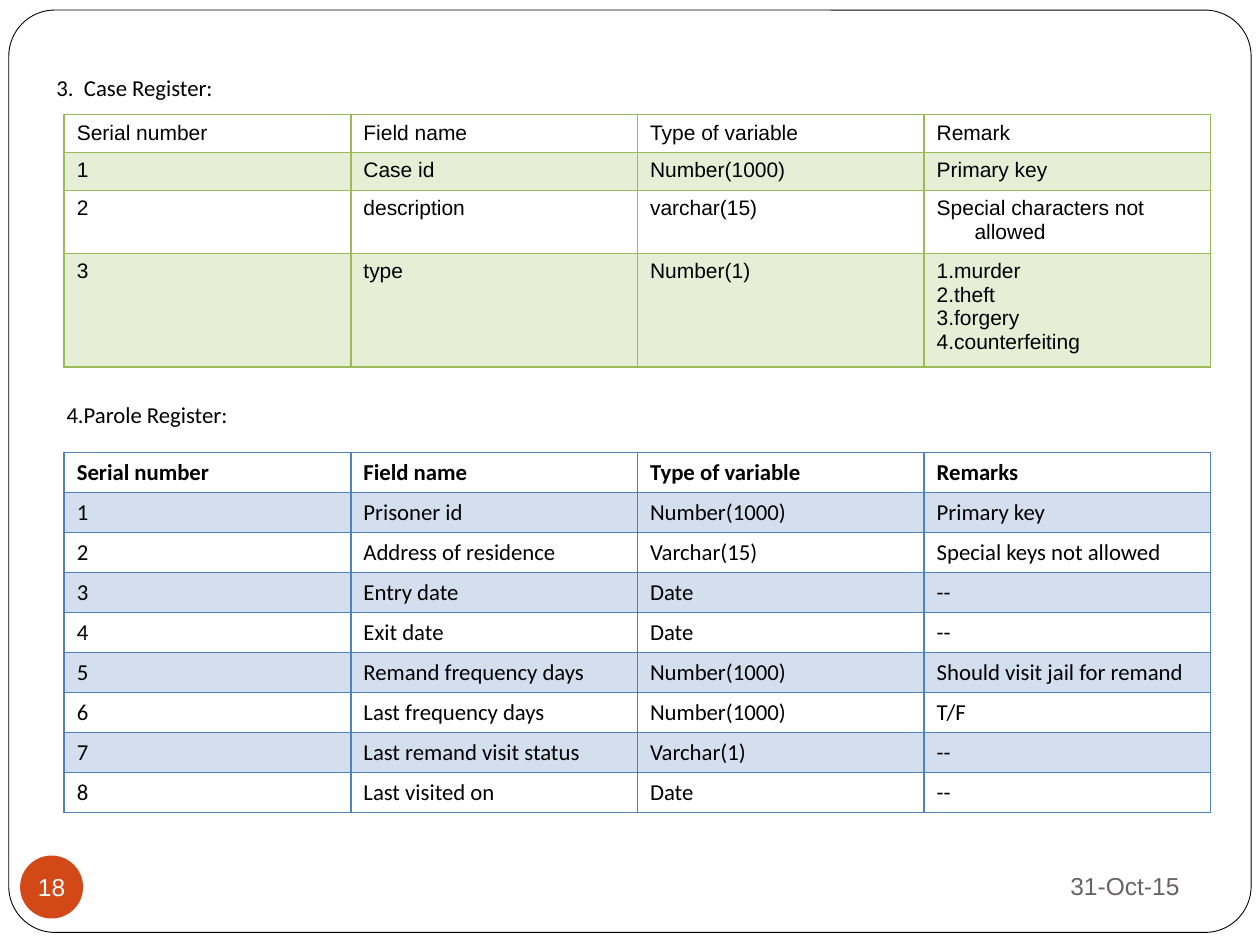
from dataclasses import dataclass

from lxml import etree
from pptx import Presentation
from pptx.dml.color import RGBColor
from pptx.enum.shapes import MSO_SHAPE
from pptx.enum.text import MSO_ANCHOR, PP_ALIGN
from pptx.oxml.ns import qn
from pptx.util import Inches, Pt

ROUNDED, OVAL = MSO_SHAPE.ROUNDED_RECTANGLE, MSO_SHAPE.OVAL
MIDDLE = MSO_ANCHOR.MIDDLE
LEFT, CENTER, RIGHT = PP_ALIGN.LEFT, PP_ALIGN.CENTER, PP_ALIGN.RIGHT
BLANK_LAYOUT = 6

COLORS = {
    "text": "000000", "paper": "FFFFFF", "muted": "696464", "badge": "D34817",
    "green": "9BBB59", "green_band": "E6EED5",
    "blue": "4F81BD", "blue_band": "D3DFEE",
}

# Slide size and the column grid shared by both tables
WIDTH, HEIGHT = 10, 7.5
TABLE_LEFT, TABLE_WIDTH = 0.51, 9.1
HANGING = 0.3


@dataclass
class Register:
    heading: str
    heading_at: tuple[float, float]
    top: float
    row_heights: list[float]
    font: str
    size: float
    bold_header: bool
    border: str
    band: str
    rows: list[tuple[str, ...]]


REGISTERS = [
    Register(
        "3.  Case Register:", (0.35, 0.52), 0.91, [0.3, 0.3, 0.5, 0.9],
        "Arial", 12, False, "green", "green_band",
        [
            ("Serial number", "Field name", "Type of variable", "Remark"),
            ("1", "Case id", "Number(1000)", "Primary key"),
            ("2", "description", "varchar(15)", "Special characters not allowed"),
            ("3", "type", "Number(1)",
             "1.murder\n2.theft\n3.forgery\n4.counterfeiting"),
        ],
    ),
    Register(
        "4.Parole Register:", (0.43, 3.12), 3.59, [2.86 / 9] * 9,
        "Calibri", 13, True, "blue", "blue_band",
        [
            ("Serial number", "Field name", "Type of variable", "Remarks"),
            ("1", "Prisoner id", "Number(1000)", "Primary key"),
            ("2", "Address of residence", "Varchar(15)", "Special keys not allowed"),
            ("3", "Entry date", "Date", "--"),
            ("4", "Exit date", "Date", "--"),
            ("5", "Remand frequency days", "Number(1000)",
             "Should visit jail for remand"),
            ("6", "Last frequency days", "Number(1000)", "T/F"),
            ("7", "Last remand visit status", "Varchar(1)", "--"),
            ("8", "Last visited on", "Date", "--"),
        ],
    ),
]


def rgb(name: str) -> RGBColor:
    return RGBColor.from_string(COLORS[name])


def write(frame, text: str, *, size: float, font: str = "Arial",
          color: str = "text", bold: bool = False, align=LEFT,
          hanging: float = 0) -> None:
    """Fill a text frame, one paragraph for each line of text."""
    frame.text = text
    for paragraph in frame.paragraphs:
        paragraph.alignment = align
        if hanging:
            properties = paragraph._p.get_or_add_pPr()
            properties.set("marL", str(Inches(hanging)))
            properties.set("indent", str(-Inches(hanging)))
        for run in paragraph.runs:
            run.font.name, run.font.size = font, Pt(size)
            run.font.bold = bold
            run.font.color.rgb = rgb(color)


def add_label(slide, text: str, left: float, top: float, width: float,
              height: float, *, wrap: bool = True, **style) -> None:
    box = slide.shapes.add_textbox(*map(Inches, (left, top, width, height)))
    box.text_frame.word_wrap = wrap
    box.text_frame.vertical_anchor = MIDDLE
    write(box.text_frame, text, **style)


def add_plain_shape(slide, kind, left: float, top: float, width: float,
                    height: float, fill: str):
    shape = slide.shapes.add_shape(kind, *map(Inches, (left, top, width, height)))
    shape.shadow.inherit = False
    shape.fill.solid()
    shape.fill.fore_color.rgb = rgb(fill)
    shape.line.fill.background()
    return shape


def set_borders(cell, color: str) -> None:
    properties = cell._tc.get_or_add_tcPr()
    for place, side in enumerate(("lnL", "lnR", "lnT", "lnB")):
        line = etree.Element(qn(f"a:{side}"), w=str(Pt(1)))
        fill = etree.SubElement(line, qn("a:solidFill"))
        etree.SubElement(fill, qn("a:srgbClr"), val=COLORS[color])
        properties.insert(place, line)


def add_register(slide, register: Register) -> None:
    add_label(slide, register.heading, *register.heading_at, 1.7, 0.34,
              wrap=False, font="Calibri", size=13)
    columns = len(register.rows[0])
    table = slide.shapes.add_table(
        len(register.rows), columns, Inches(TABLE_LEFT), Inches(register.top),
        Inches(TABLE_WIDTH), Inches(sum(register.row_heights))).table
    table.first_row = table.horz_banding = False
    for column in table.columns:
        column.width = Inches(TABLE_WIDTH / columns)
    for r, (values, height) in enumerate(zip(register.rows, register.row_heights)):
        table.rows[r].height = Inches(height)
        for c, value in enumerate(values):
            cell = table.cell(r, c)
            cell.fill.solid()
            cell.fill.fore_color.rgb = rgb(register.band if r % 2 else "paper")
            set_borders(cell, register.border)
            write(cell.text_frame, value, font=register.font, size=register.size,
                  bold=register.bold_header and r == 0, hanging=HANGING)


def main() -> None:
    deck = Presentation()
    deck.slide_width, deck.slide_height = Inches(WIDTH), Inches(HEIGHT)
    slide = deck.slides.add_slide(deck.slide_layouts[BLANK_LAYOUT])

    # Rounded page frame
    frame = add_plain_shape(slide, ROUNDED, 0.07, 0.08, 9.86, 7.32, "paper")
    frame.adjustments[0] = 0.05
    frame.line.color.rgb = rgb("text")
    frame.line.width = Pt(0.5)

    # Date and page number
    add_label(slide, "31-Oct-15", 6.75, 6.77, 2.71, 0.52,
              size=14, color="muted", align=RIGHT)
    badge = add_plain_shape(slide, OVAL, 0.16, 6.79, 0.5, 0.5, "badge")
    number = badge.text_frame
    number.margin_left = number.margin_right = 0
    number.margin_top = number.margin_bottom = 0
    number.word_wrap = False
    number.vertical_anchor = MIDDLE
    write(number, "18", size=14, color="paper", align=CENTER)

    # Headings with their tables
    for register in REGISTERS:
        add_register(slide, register)

    deck.save("out.pptx")


if __name__ == "__main__":
    main()
